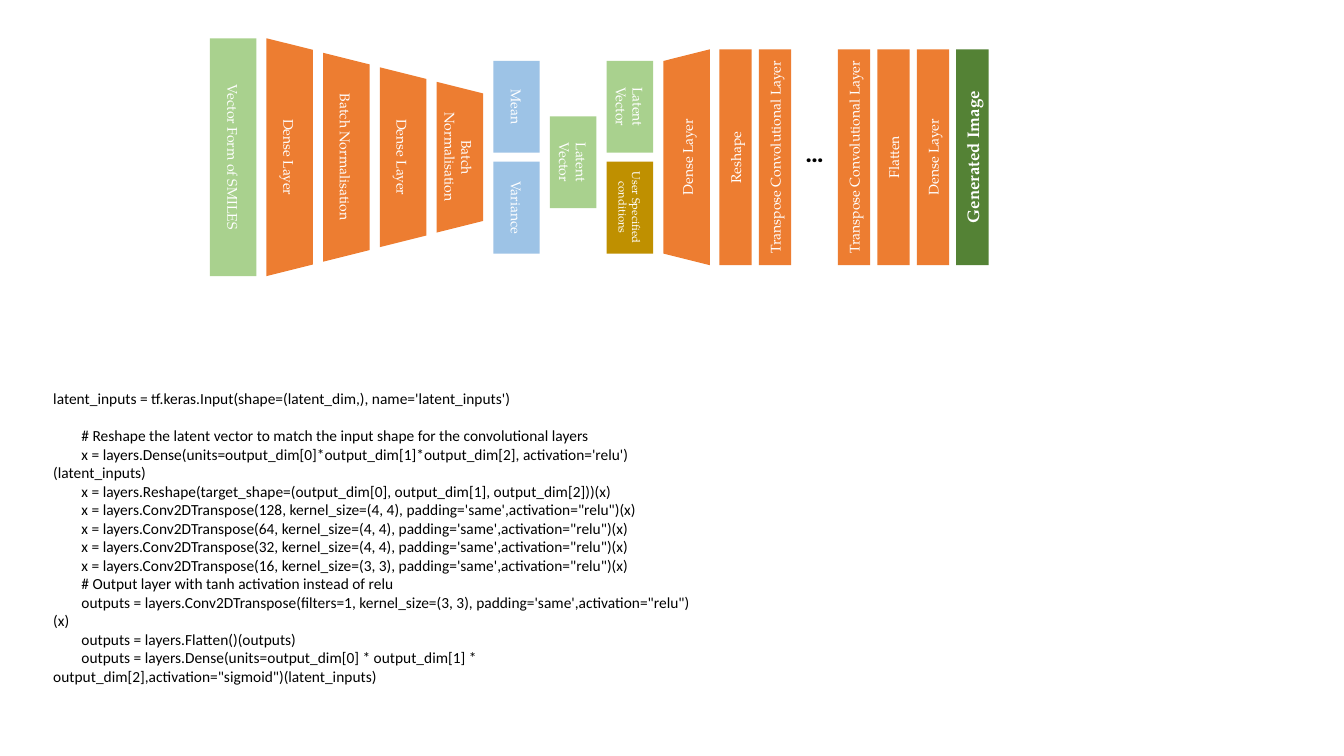
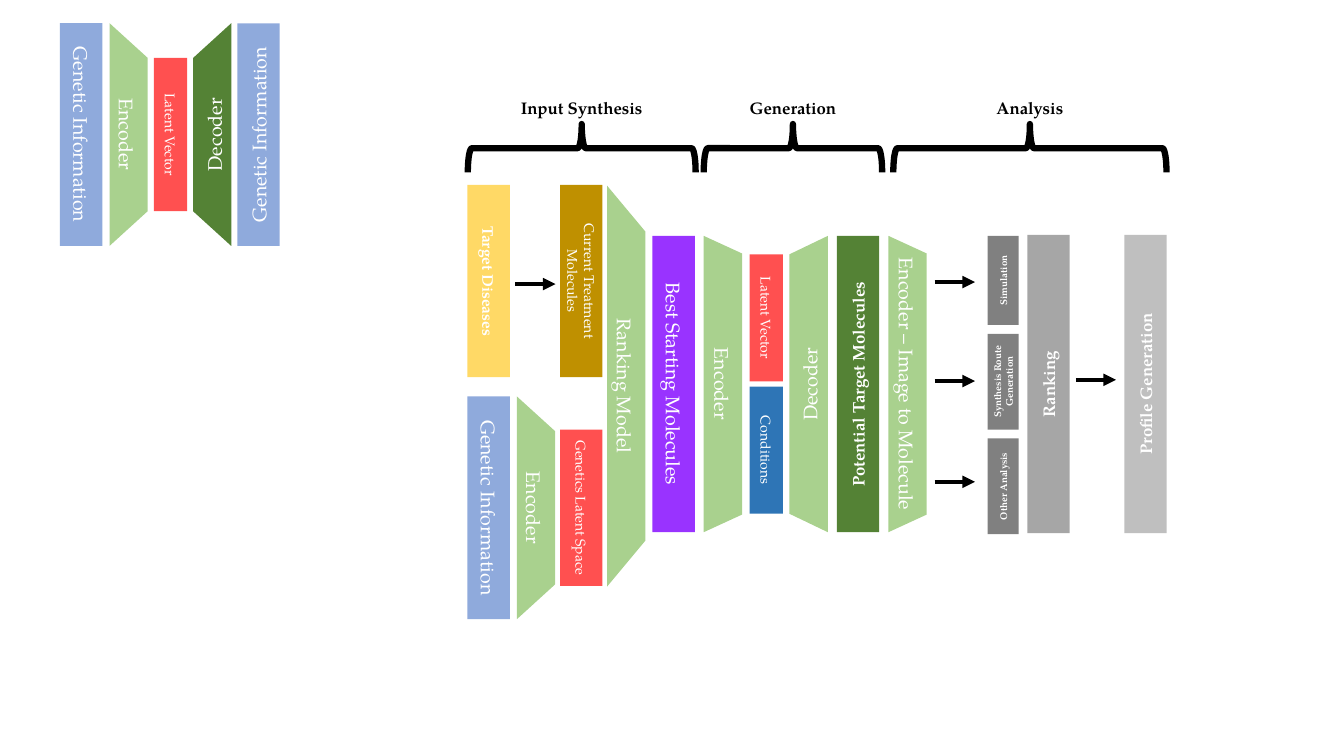
import dataclasses

import pptx
import pptx.dml.color
import pptx.enum.shapes
import pptx.enum.text
import pptx.oxml.ns
import pptx.util
from lxml import etree

SHAPES = pptx.enum.shapes.MSO_SHAPE
CENTER = pptx.enum.text.PP_ALIGN.CENTER
MIDDLE = pptx.enum.text.MSO_ANCHOR.MIDDLE
SERIF = "TeX Gyre Pagella"
DOWN, UP = 90, 270

COLORS = {
    "text": "000000", "on_block": "FFFFFF", "layer": "ED7D31",
    "light_green": "A9D18E", "dark_green": "548235", "sky": "9DC3E6",
    "gold": "BF9000", "yellow": "FFD966", "red": "FF5050",
    "genetic": "8FAADC", "purple": "9933FF", "blue": "2E75B6",
    "analysis": "808080", "ranking": "A6A6A6", "profile": "BFBFBF",
}

CODE_FIRST = "latent_inputs = tf.keras.Input(shape=(latent_dim,), name='latent_inputs')"
CONVOLUTIONS = [(128, 4), (64, 4), (32, 4), (16, 3)]
CODE_BODY = [
    "# Reshape the latent vector to match the input shape for the convolutional layers",
    "x = layers.Dense(units=output_dim[0]*output_dim[1]*output_dim[2], activation='relu')(latent_inputs)",
    "x = layers.Reshape(target_shape=(output_dim[0], output_dim[1], output_dim[2]))(x)",
    *(f"x = layers.Conv2DTranspose({filters}, kernel_size=({kernel}, {kernel}), "
      "padding='same',activation=\"relu\")(x)" for filters, kernel in CONVOLUTIONS),
    "# Output layer with tanh activation instead of relu",
    "outputs = layers.Conv2DTranspose(filters=1, kernel_size=(3, 3), padding='same',activation=\"relu\")(x)",
    "outputs = layers.Flatten()(outputs)",
    "outputs = layers.Dense(units=output_dim[0] * output_dim[1] * output_dim[2],activation=\"sigmoid\")(latent_inputs)",
]


def inches(*lengths):
    return [pptx.util.Inches(length) for length in lengths]


def rgb(color):
    return pptx.dml.color.RGBColor.from_string(COLORS[color])


def write(paragraph, words, size, color="text", font=SERIF, bold=False):
    run = paragraph.add_run()
    run.text = words
    run.font.size = pptx.util.Pt(size)
    run.font.name = font
    run.font.bold = bold
    run.font.color.rgb = rgb(color)


def add_label(slide, words, cx, cy, width, height, size=12, font=SERIF):
    label = slide.shapes.add_textbox(*inches(cx - width / 2, cy - height / 2, width, height))
    label.text_frame.word_wrap = True
    heading = label.text_frame.paragraphs[0]
    heading.alignment = CENTER
    write(heading, words, size, font=font, bold=True)


@dataclasses.dataclass
class Region:
    slide: object
    left: float
    top: float
    width: float
    height: float
    columns: int = 10
    rows: int = 10

    def x(self, column):
        return self.left + column * self.width / self.columns

    def y(self, row):
        return self.top + row * self.height / self.rows

    def block(self, words, column, row, thick, long, fill, size=10,
              slope=None, turn=DOWN, bold=False):
        length = long * self.height / self.rows
        thickness = thick * self.width / self.columns
        preset = SHAPES.RECTANGLE if slope is None else SHAPES.TRAPEZOID
        block = self.slide.shapes.add_shape(preset, *inches(
            self.x(column) - length / 2, self.y(row) - thickness / 2, length, thickness))
        if slope is not None:
            block.adjustments[0] = slope
        block.rotation = turn
        block.shadow.inherit = False
        block.fill.solid()
        block.fill.fore_color.rgb = rgb(fill)
        block.line.fill.background()
        block.text_frame.word_wrap = True
        block.text_frame.vertical_anchor = MIDDLE
        caption = block.text_frame.paragraphs[0]
        caption.alignment = CENTER
        write(caption, words, size, "on_block", bold=bold)

    def arrow(self, start, end, row):
        arrow = self.slide.shapes.add_connector(
            pptx.enum.shapes.MSO_CONNECTOR.STRAIGHT,
            *inches(self.x(start), self.y(row), self.x(end), self.y(row)))
        arrow.line.color.rgb = rgb("text")
        arrow.line.width = pptx.util.Pt(3)
        qn = pptx.oxml.ns.qn
        etree.SubElement(arrow.line._get_or_add_ln(), qn("a:tailEnd"), type="triangle")
        etree.SubElement(arrow._element.spPr, qn("a:effectLst"))

    def heading(self, words):
        cx, cy, depth = self.left + self.width / 2, 1.47, 0.48
        brace = self.slide.shapes.add_shape(SHAPES.RIGHT_BRACE, *inches(
            cx - depth / 2, cy - self.width / 2, depth, self.width))
        brace.adjustments[0] = 0.083
        brace.adjustments[1] = 0.5
        brace.rotation = UP
        brace.shadow.inherit = False
        brace.fill.background()
        brace.line.color.rgb = rgb("text")
        brace.line.width = pptx.util.Pt(4.5)
        add_label(self.slide, words, cx, cy - 0.4, 1.5, 0.3)


def encoder_layers(region):
    thick = 0.82
    region.block("Vector Form of SMILES", 0.5, 5, thick, 10, "light_green")
    for step, words in enumerate(["Dense Layer", "Batch Normalisation"] * 2):
        region.block(words, step + 1.5, 5, thick, 10 - 1.22 * step, "layer", slope=0.25)
    for words, column, row, fill, size in [
        ("Mean", 5.5, 2.88, "sky", 10),
        ("Variance", 5.5, 7.12, "sky", 10),
        ("Latent Vector", 6.5, 5.21, "light_green", 10),
        ("Latent Vector", 7.5, 2.88, "light_green", 10),
        ("User Specified conditions", 7.5, 7.12, "gold", 8),
    ]:
        region.block(words, column, row, thick, 3.86, fill, size)
    region.block("Dense Layer", 8.5, 5, thick, 9.07, "layer", slope=0.25, turn=UP)


def decoder_layers(region):
    for column, words in enumerate([
        "Reshape", "Transpose Convolutional Layer", "…",
        "Transpose Convolutional Layer", "Flatten", "Dense Layer",
    ]):
        if words == "…":
            add_label(region.slide, words, region.x(column + 0.5), region.y(4.77),
                      0.96, 0.4, 18, "Roboto")
        else:
            region.block(words, column + 0.5, 5, 0.82, 10, "layer", turn=UP)
    region.block("Generated Image", 6.5, 5, 0.82, 10, "dark_green", 12, turn=UP, bold=True)


def code_listing(region):
    listing = region.slide.shapes.add_textbox(
        *inches(region.left, region.top, region.width, region.height)).text_frame
    listing.word_wrap = True
    opening = listing.paragraphs[0]
    opening.space_after = pptx.util.Pt(13.4)
    write(opening, CODE_FIRST, 11, font="Calibri")
    for statement in CODE_BODY:
        line = listing.add_paragraph()
        properties = line._p.get_or_add_pPr()
        properties.set("marL", "0")
        properties.set("indent", str(pptx.util.Inches(0.28)))
        write(line, statement, 11, font="Calibri")


def autoencoder(region):
    region.block("Genetic Information", 0.94, 5, 1.93, 10, "genetic", 14)
    region.block("Encoder", 3.1, 5, 1.74, 10, "light_green", 14, slope=0.91)
    region.block("Latent Vector", 5, 5, 1.51, 6.88, "red")
    region.block("Decoder", 6.9, 5, 1.74, 10, "dark_green", 14, slope=0.91, turn=UP)
    region.block("Genetic Information", 9.01, 5, 1.93, 10, "genetic", 14, turn=UP)


def input_synthesis(region):
    wide, narrow = 1.86, 1.68
    region.heading("Input Synthesis")
    region.block("Target Diseases", 0.91, 2.2, wide, 4.43, "yellow", 11, bold=True)
    region.arrow(2.08, 3.85, 2.27)
    region.block("Current Treatment Molecules", 4.98, 2.2, wide, 4.43, "gold")
    region.block("Genetic Information", 0.91, 7.42, wide, 5.13, "genetic", 14)
    region.block("Encoder", 2.99, 7.42, narrow, 5.13, "light_green", 14, slope=0.91)
    region.block("Genetics Latent Space", 4.98, 7.42, wide, 3.6, "red")
    region.block("Ranking Model", 6.95, 4.62, narrow, 9.23, "light_green", 14, slope=1.2)
    region.block("Best Starting Molecules", 9.03, 4.57, wide, 6.82, "purple", 14)


def generation(region):
    region.heading("Generation")
    region.block("Encoder", 1.07, 5, 2.15, 10, "light_green", 14, slope=0.46)
    region.block("Latent Vector", 3.5, 2.77, 1.86, 4.29, "red")
    region.block("Conditions", 3.5, 7.23, 1.86, 4.29, "blue")
    region.block("Decoder", 5.88, 5, 2.15, 10, "light_green", 14, slope=0.48, turn=UP)
    region.block("Potential Target Molecules", 8.64, 5, 2.37, 10, "dark_green", 12,
                 turn=UP, bold=True)


def analysis(region):
    region.heading("Analysis")
    region.block("Encoder – Image to Molecule", 0.52, 5, 1.4, 10, "light_green", 14, slope=0.46)
    for words, row, long, arrow_row in [
        ("Simulation", 1.5, 3, 1.56),
        ("Synthesis Route Generation", 4.92, 3.23, 4.9),
        ("Other Analysis", 8.45, 3.23, 8.3),
    ]:
        region.arrow(1.51, 2.99, arrow_row)
        region.block(words, 4.02, row, 1.14, long, "analysis", 7, turn=UP, bold=True)
    region.block("Ranking", 5.68, 5, 1.55, 10.07, "ranking", 12, turn=UP, bold=True)
    region.arrow(6.68, 8.15, 4.86)
    region.block("Profile Generation", 9.23, 5, 1.55, 10.07, "profile", 12, turn=UP, bold=True)


def main():
    deck = pptx.Presentation()
    deck.slide_width, deck.slide_height = inches(13.33, 7.5)
    network, pipeline = (deck.slides.add_slide(deck.slide_layouts[6]) for _ in range(2))
    encoder_layers(Region(network, 2.03, 0.38, 5.06, 2.36, columns=9))
    decoder_layers(Region(network, 7.1, 0.49, 2.74, 2.14, columns=7))
    code_listing(Region(network, 0.43, 3.81, 6.67, 2.88))
    autoencoder(Region(pipeline, 0.6, 0.23, 2.18, 2.21))
    input_synthesis(Region(pipeline, 4.64, 1.84, 2.26, 4.31))
    generation(Region(pipeline, 6.98, 2.34, 1.77, 2.94))
    analysis(Region(pipeline, 8.86, 2.34, 2.71, 2.94))
    deck.save("out.pptx")


if __name__ == "__main__":
    main()
